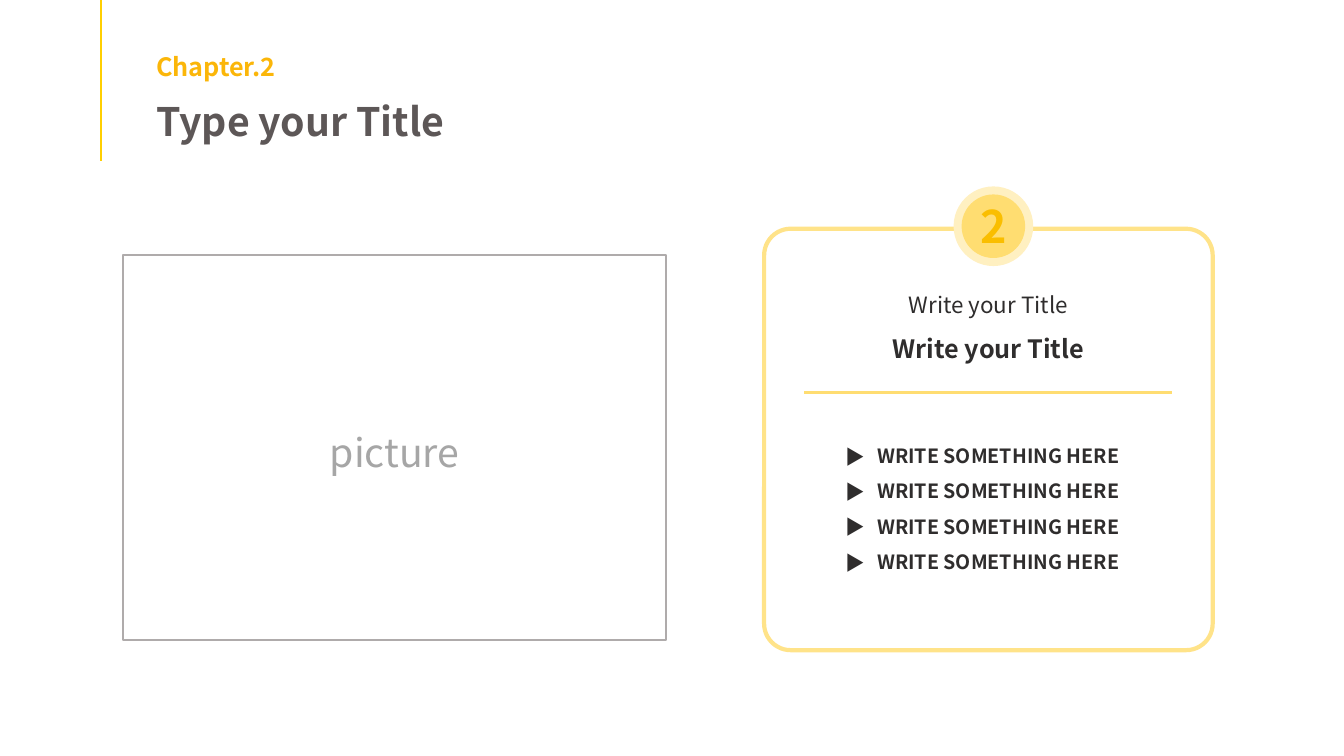
from lxml.etree import SubElement as Sub
from pptx import Presentation
from pptx.dml.color import RGBColor as RGB
from pptx.enum.shapes import MSO_CONNECTOR as Conn, MSO_SHAPE as Geo
from pptx.enum.text import MSO_ANCHOR as Anchor, MSO_AUTO_SIZE as Auto, PP_ALIGN as Align
from pptx.oxml.ns import qn
from pptx.util import Pt

FACE = "Noto Sans CJK KR"
RULE = RGB(0xFF, 0xCF, 0x01)
AMBER = RGB(0xFB, 0xB6, 0x09)
GOLD = RGB(0xFA, 0xBE, 0x00)
SUN = RGB(0xFF, 0xDD, 0x71)
EDGE = RGB(0xFF, 0xE3, 0x89)
CREAM = RGB(0xFF, 0xF0, 0xC1)
SLATE = RGB(0x5D, 0x57, 0x57)
INK = RGB(0x2F, 0x2D, 0x2D)
FRAME = RGB(0xAF, 0xAB, 0xAB)
GREY = RGB(0xA6, 0xA6, 0xA6)

LEFT = 104.4                       # header text
CARD = (545.8, 163.4, 320.4, 301)  # left, top, width, height
PHOTO = (87.8, 182.2, 388.1, 275)
HUB = (709.6, 161.6)               # centre of the number badge
INDENT = 22.5


def put(obj, vals):
    for name, val in vals.items():
        setattr(obj, name, val)


def write(box, lines, color, align=Align.LEFT, space=None):
    """Fill a box with (text, size, bold) lines."""
    frame = box.text_frame
    put(frame, {"word_wrap": True, "auto_size": Auto.SHAPE_TO_FIT_TEXT,
                "vertical_anchor": Anchor.TOP})
    for i, (text, size, bold) in enumerate(lines):
        para = frame.add_paragraph() if i else frame.paragraphs[0]
        put(para, {"alignment": align, "line_spacing": space})
        run = para.add_run()
        run.text = text
        put(run.font, {"name": FACE, "size": Pt(size), "bold": bold})
        run.font.color.rgb = color
    return frame


def label(slide, area, lines, color, **style):
    box = slide.shapes.add_textbox(*map(Pt, area))
    return write(box, lines, color, **style)


def shape(slide, kind, area, fill=None, line=None, width=1.5):
    item = slide.shapes.add_shape(kind, *map(Pt, area))
    item.shadow.inherit = False
    if fill:
        item.fill.solid()
        item.fill.fore_color.rgb = fill
    else:
        item.fill.background()
    if line:
        item.line.color.rgb = line
        item.line.width = Pt(width)
    else:
        item.line.fill.background()
    return item


def disc(slide, size, fill):
    x, y = HUB
    shape(slide, Geo.OVAL, (x - size / 2, y - size / 2, size, size), fill)


def rule(slide, ends, color, width):
    line = slide.shapes.add_connector(Conn.STRAIGHT, *map(Pt, ends))
    line.line.color.rgb = color
    line.line.width = Pt(width)
    Sub(line._element.spPr, qn("a:effectLst"))


def bullet(para):
    props = para._p.get_or_add_pPr()
    props.set("marL", str(Pt(INDENT)))
    props.set("indent", str(-Pt(INDENT)))
    Sub(props, qn("a:buFont"), typeface=FACE)
    Sub(props, qn("a:buChar"), char="▶")


def header(slide):
    rule(slide, (72, 0, 72, 115.2), RULE, 1.5)
    label(slide, (LEFT, 33.1, 396.7, 28.8), [("Chapter.2", 18, True)], AMBER)
    title = slide.shapes.title
    put(title, {"left": Pt(LEFT), "top": Pt(66.2),
                "width": Pt(480), "height": Pt(41)})
    write(title, [("Type your Title", 28, True)], SLATE)


def card(slide):
    left, _, width, _ = CARD
    heads = [("Write your Title", 16, False), ("Write your Title", 18, True)]
    label(slide, (left, 195.1, width, 64.8), heads, INK,
          align=Align.CENTER, space=1.5)
    edge = shape(slide, Geo.ROUNDED_RECTANGLE, CARD, line=EDGE, width=3)
    edge.adjustments[0] = 0.063

    # Number badge
    disc(slide, 56.9, CREAM)
    disc(slide, 45.4, SUN)
    label(slide, (693.4, 138.2, 33.8, 46.1), [("2", 32, True)], GOLD)

    # Divider and list
    rule(slide, (574.6, 280.1, 837.4, 280.1), SUN, 2.25)
    items = [("WRITE SOMETHING HERE", 14, True)] * 4
    frame = label(slide, (596.9, 305.3, 219.6, 105.8), items, INK, space=1.5)
    for para in frame.paragraphs:
        bullet(para)


def photo(slide):
    left, _, width, _ = PHOTO
    shape(slide, Geo.RECTANGLE, PHOTO, line=FRAME)
    label(slide, (left, 302.4, width, 41), [("picture", 28, False)], GREY,
          align=Align.CENTER)


def main():
    deck = Presentation()
    put(deck, {"slide_width": Pt(960), "slide_height": Pt(540)})
    slide = deck.slides.add_slide(deck.slide_layouts[5])
    header(slide)
    card(slide)
    photo(slide)
    deck.save("out.pptx")


if __name__ == "__main__":
    main()
